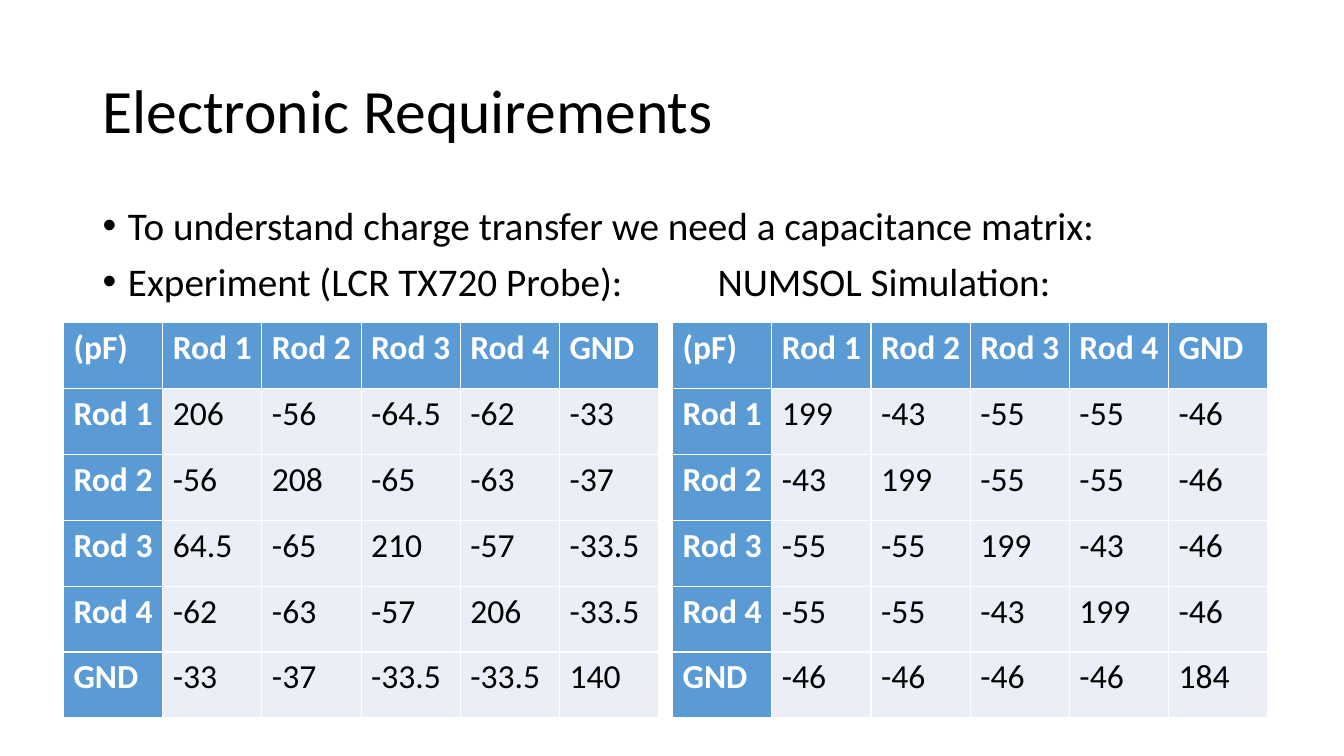
"""Build the slide on capacitance matrices for the electronic requirements."""
from dataclasses import dataclass

from lxml.etree import SubElement
from pptx import Presentation
from pptx.dml.color import RGBColor
from pptx.enum.text import MSO_ANCHOR, MSO_AUTO_SIZE, PP_ALIGN
from pptx.oxml.ns import qn
from pptx.util import Cm, Pt

TITLE = "Electronic Requirements"
BULLETS = [
    "To understand charge transfer we need a capacitance matrix:",
    "Experiment (LCR TX720 Probe):\tNUMSOL Simulation:",
]
UNIT = "(pF)"
CONDUCTORS = ["Rod 1", "Rod 2", "Rod 3", "Rod 4", "GND"]
EXPERIMENT = [
    ["206", "-56", "-64.5", "-62", "-33"],
    ["-56", "208", "-65", "-63", "-37"],
    ["64.5", "-65", "210", "-57", "-33.5"],
    ["-62", "-63", "-57", "206", "-33.5"],
    ["-33", "-37", "-33.5", "-33.5", "140"],
]
SIMULATION = [
    ["199", "-43", "-55", "-55", "-46"],
    ["-43", "199", "-55", "-55", "-46"],
    ["-55", "-55", "199", "-43", "-46"],
    ["-55", "-55", "-43", "199", "-46"],
    ["-46", "-46", "-46", "-46", "184"],
]


@dataclass(frozen=True)
class Theme:
    font: str = "Calibri"
    ink: RGBColor = RGBColor(0x00, 0x00, 0x00)
    heading_ink: RGBColor = RGBColor(0xFF, 0xFF, 0xFF)
    heading_fill: RGBColor = RGBColor(0x5B, 0x9B, 0xD5)
    value_fill: RGBColor = RGBColor(0xEA, 0xEF, 0xF7)
    title_size: Pt = Pt(44)
    body_size: Pt = Pt(28)
    cell_size: Pt = Pt(24)


THEME = Theme()
TEXT_LEFT, TEXT_WIDTH = Cm(2.33), Cm(29.21)
BULLET_INDENT = Cm(0.64)
SECOND_HEADING_TAB = Cm(15.5)
TABLE_LEFTS, TABLE_TOP = (Cm(1.6), Cm(16.95)), Cm(8.13)
COLUMN_WIDTH, ROW_HEIGHT = Cm(2.5), Cm(1.66)


def add_span(para, text, size, color, bold=False):
    span = para.add_run()
    span.text = text
    span.font.name = THEME.font
    span.font.size = size
    span.font.color.rgb = color
    span.font.bold = bold


def place(box, top, height, anchor):
    box.left, box.top, box.width, box.height = TEXT_LEFT, top, TEXT_WIDTH, height
    box.text_frame.auto_size = MSO_AUTO_SIZE.NONE
    box.text_frame.vertical_anchor = anchor


def fill_title(box):
    place(box, Cm(1.01), Cm(3.68), MSO_ANCHOR.MIDDLE)
    para = box.text_frame.paragraphs[0]
    para.alignment = PP_ALIGN.LEFT
    para.line_spacing = 0.9
    add_span(para, TITLE, THEME.title_size, THEME.ink)


def fill_bullets(box):
    place(box, Cm(5.07), Cm(12.09), MSO_ANCHOR.TOP)
    frame = box.text_frame
    for index, text in enumerate(BULLETS):
        para = frame.add_paragraph() if index else frame.paragraphs[0]
        para.line_spacing = 0.9
        para.space_before = Pt(10)
        properties = para._p.get_or_add_pPr()
        properties.set("marL", str(BULLET_INDENT))
        properties.set("indent", str(-BULLET_INDENT))
        if "\t" in text:
            tabs = SubElement(properties, qn("a:tabLst"))
            SubElement(tabs, qn("a:tab"), pos=str(SECOND_HEADING_TAB), algn="l")
        add_span(para, text, THEME.body_size, THEME.ink)


def add_matrix(page, left, values):
    rows = [[UNIT, *CONDUCTORS]]
    rows += [[name, *line] for name, line in zip(CONDUCTORS, values)]
    count = len(rows)
    table = page.shapes.add_table(
        count, count, left, TABLE_TOP, COLUMN_WIDTH * count, ROW_HEIGHT * count
    ).table
    table.first_col = True
    table.horz_banding = False
    for row_index, row in enumerate(rows):
        for column_index, text in enumerate(row):
            heading = row_index == 0 or column_index == 0
            cell = table.cell(row_index, column_index)
            cell.fill.solid()
            cell.fill.fore_color.rgb = THEME.heading_fill if heading else THEME.value_fill
            color = THEME.heading_ink if heading else THEME.ink
            add_span(cell.text_frame.paragraphs[0], text, THEME.cell_size, color, heading)


def main():
    deck = Presentation()
    deck.slide_width, deck.slide_height = Cm(33.87), Cm(19.05)
    page = deck.slides.add_slide(deck.slide_layouts[1])
    fill_title(page.shapes.title)
    fill_bullets(page.placeholders[1])
    for left, values in zip(TABLE_LEFTS, (EXPERIMENT, SIMULATION)):
        add_matrix(page, left, values)
    deck.save("out.pptx")


if __name__ == "__main__":
    main()
